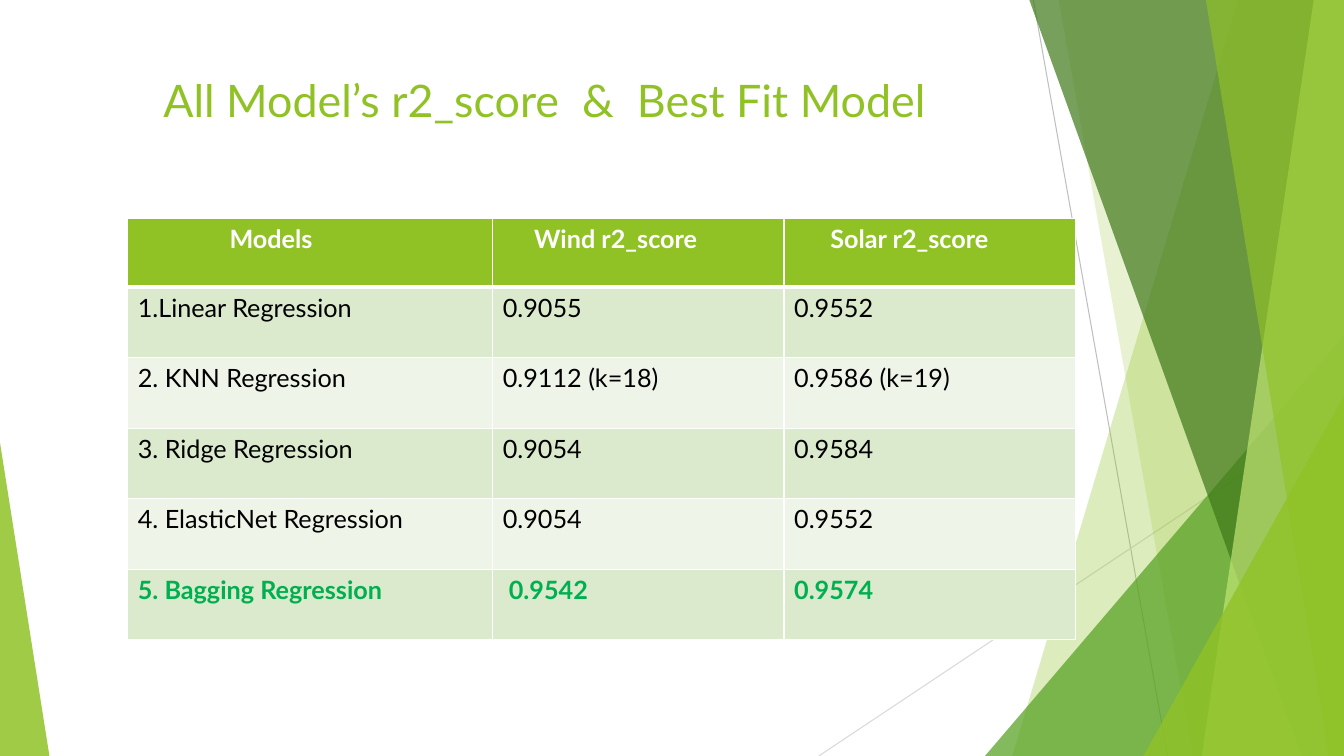
"""Slide of r2 scores per regression model, with a faceted green frame."""
from dataclasses import dataclass

from lxml import etree
from pptx import Presentation
from pptx import util as u
from pptx.dml.color import RGBColor
from pptx.enum import shapes, text
from pptx.oxml.ns import qn

WIDTH, HEIGHT = u.Inches(13.33), u.Inches(7.5)


@dataclass(frozen=True)
class Theme:
    """Colours, font and type sizes."""
    font: str = "Lato"
    title_size: int = 32
    cell_size: int = 18
    green: str = "90C226"
    mid_green: str = "54A021"
    dark_green: str = "3F7819"
    pale_green: str = "C0E474"
    best: str = "00B050"
    white: str = "FFFFFF"
    black: str = "000000"
    line_dark: str = "BFBFBF"
    line_light: str = "D9D9D9"
    bands: tuple = ("DBE9CD", "EEF4E8")


T = Theme()

LINES = [
    (76.89, 0, 86.87, 100, T.line_dark),
    (100, 53.73, 60.92, 100, T.line_light),
]
BACK_FACETS = [
    (92.12, 75.32, T.green, 30),
    (78.77, 88.75, T.green, 20),
]
FRONT_FACETS = [
    (76.59, 96.85, T.dark_green, 70),
    (97.75, 89.42, T.pale_green, 70),
    (89.72, 98.87, T.green, 65),
]
COLUMNS = [27.16, 21.68, 21.68]
HEADER_INDENTS = [1.01, 0.41, 0.46]
HEADER_ROW, BODY_ROW = 9.07, 9.33
SCORES = [
    ("Models", "Wind r2_score", "Solar r2_score"),
    ("1.Linear Regression", "0.9055", "0.9552"),
    ("2. KNN Regression", "0.9112 (k=18)", "0.9586 (k=19)"),
    ("3. Ridge Regression", "0.9054", "0.9584"),
    ("4. ElasticNet Regression", "0.9054", "0.9552"),
    ("5. Bagging Regression", "0.9542", "0.9574"),
]


def across(percent):
    """Return a share of the slide's width."""
    return u.Emu(round(WIDTH * percent / 100))


def down(percent):
    """Return a share of the slide's height."""
    return u.Emu(round(HEIGHT * percent / 100))


def rgb(color):
    """Return a colour object for a hex string."""
    return RGBColor.from_string(color)


def paint(sp, color, opacity):
    """Fill a shape with a translucent colour and no outline."""
    sp.shadow.inherit = False
    sp.fill.solid()
    sp.fill.fore_color.rgb = rgb(color)
    sp.line.fill.background()
    clr = sp.fill._xPr.find(qn("a:solidFill"))[0]
    etree.SubElement(clr, qn("a:alpha"), val=str(opacity * 1000))


def add_line(s, x1, y1, x2, y2, color):
    """Draw a thin straight line."""
    line = s.shapes.add_connector(shapes.MSO_CONNECTOR.STRAIGHT, across(x1),
                                  down(y1), across(x2), down(y2))
    line.line.color.rgb = rgb(color)
    line.line.width = u.Pt(0.75)
    etree.SubElement(line._element.spPr, qn("a:effectLst"))


def add_facet(s, top_x, bottom_x, color, opacity):
    """Draw a full-height facet from a slanted edge to the right side."""
    builder = s.shapes.build_freeform(across(top_x), 0)
    builder.add_line_segments([(WIDTH, 0), (WIDTH, HEIGHT),
                               (across(bottom_x), HEIGHT)], close=True)
    paint(builder.convert_to_shape(), color, opacity)


def add_corner(s, left, top, width, tip, color, opacity):
    """Draw a triangle standing on the bottom edge of the slide."""
    sp = s.shapes.add_shape(shapes.MSO_SHAPE.ISOSCELES_TRIANGLE, across(left),
                            down(top), across(width), down(100 - top))
    sp.adjustments[0] = tip
    paint(sp, color, opacity)


def add_run(tf, words, size, color, bold=False):
    """Write one styled run into the first paragraph."""
    r = tf.paragraphs[0].add_run()
    r.text = words
    r.font.name = T.font
    r.font.size = u.Pt(size)
    r.font.bold = bold
    r.font.color.rgb = rgb(color)


def add_title(s, words):
    """Write the slide title."""
    tf = s.shapes.add_textbox(across(5.55), down(8.93), across(70.52),
                              down(19.2)).text_frame
    tf.word_wrap = True
    tf.vertical_anchor = text.MSO_ANCHOR.TOP
    tf.margin_left = u.Inches(0.88)
    add_run(tf, words, T.title_size, T.green)


def set_borders(cell, top, bottom):
    """Give a cell white borders, with top and bottom widths in points."""
    tc_pr = cell._tc.get_or_add_tcPr()
    sides = [("L", 1), ("R", 1), ("T", top), ("B", bottom)]
    for i, (side, width) in enumerate(sides):
        ln = etree.Element(qn(f"a:ln{side}"), w=str(u.Pt(width)))
        fill = etree.SubElement(ln, qn("a:solidFill"))
        etree.SubElement(fill, qn("a:srgbClr"), val=T.white)
        tc_pr.insert(i, ln)


def row_style(row):
    """Return the fill, text colour and weight of a table row."""
    if row == 0:
        return T.green, T.white, True
    is_best = row == len(SCORES) - 1
    return T.bands[(row - 1) % 2], T.best if is_best else T.black, is_best


def add_score_table(s):
    """Build the table of scores."""
    heights = [HEADER_ROW] + [BODY_ROW] * (len(SCORES) - 1)
    table = s.shapes.add_table(len(SCORES), len(COLUMNS), across(9.5),
                               down(28.93), across(sum(COLUMNS)),
                               down(sum(heights))).table
    for column, width in zip(table.columns, COLUMNS):
        column.width = across(width)
    for row, (height, values) in enumerate(zip(heights, SCORES)):
        table.rows[row].height = down(height)
        fill, color, bold = row_style(row)
        for col, value in enumerate(values):
            cell = table.cell(row, col)
            cell.fill.solid()
            cell.fill.fore_color.rgb = rgb(fill)
            set_borders(cell, 3 if row == 1 else 1, 3 if row == 0 else 1)
            if row == 0:
                cell.margin_left = u.Inches(HEADER_INDENTS[col])
            add_run(cell.text_frame, value, T.cell_size, color, bold)
    table.cell(len(SCORES) - 1, 1).margin_left = u.Inches(0.16)


def main():
    """Build and save the slide."""
    prs = Presentation()
    prs.slide_width, prs.slide_height = WIDTH, HEIGHT
    s = prs.slides.add_slide(prs.slide_layouts[6])
    for line in LINES:
        add_line(s, *line)
    for facet in BACK_FACETS:
        add_facet(s, *facet)
    add_corner(s, 73.29, 44.4, 26.71, 1, T.mid_green, 72)
    for facet in FRONT_FACETS:
        add_facet(s, *facet)
    add_corner(s, 85.07, 52.4, 14.93, 1, T.green, 80)
    add_corner(s, 0, 58.53, 3.68, 0, T.green, 85)
    add_title(s, "All Model’s r2_score  &  Best Fit Model")
    add_score_table(s)
    prs.save("out.pptx")


if __name__ == "__main__":
    main()
